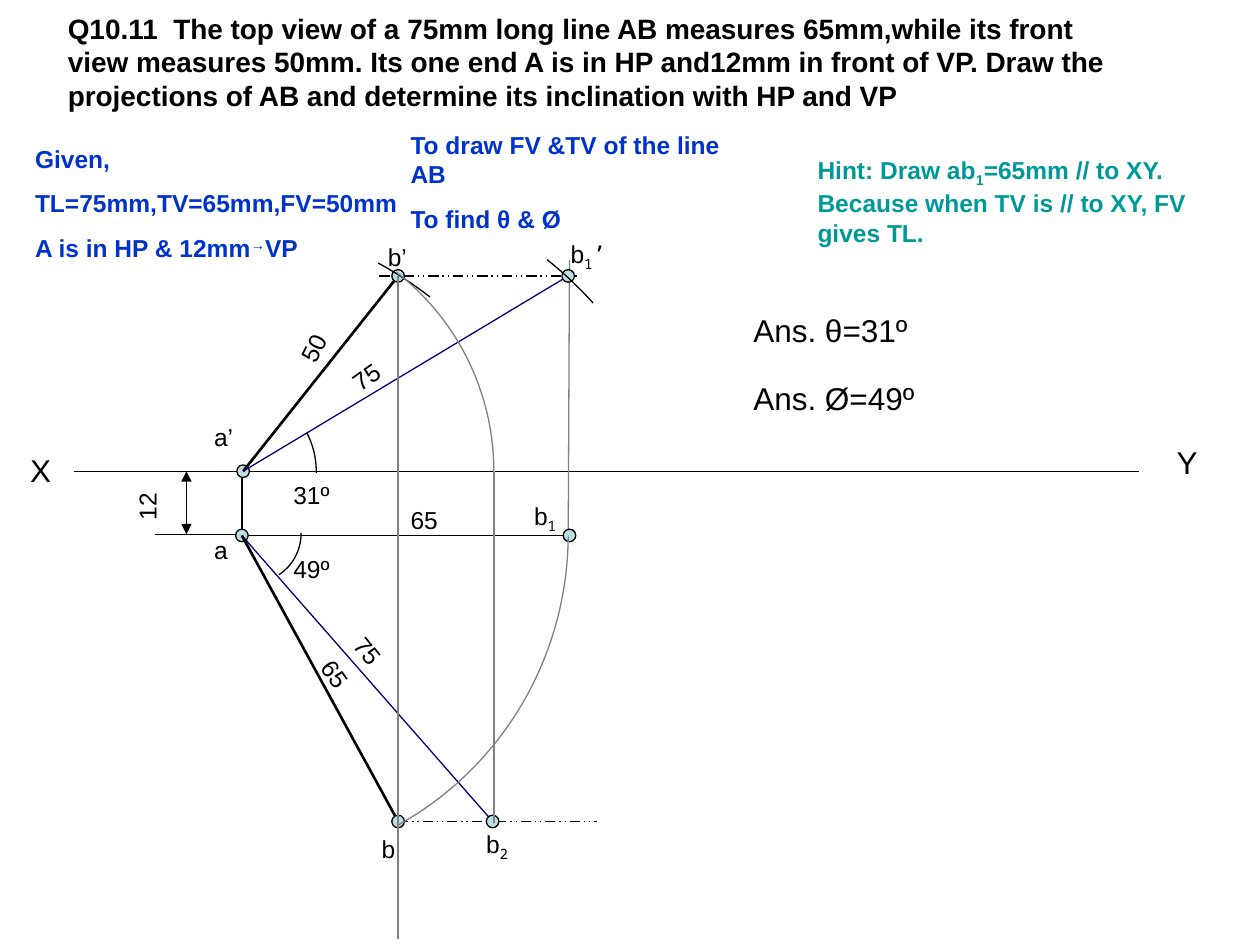
import pptx
import pptx.util
import pptx.dml.color
import pptx.enum.dml
import pptx.enum.shapes
import pptx.enum.text
import pptx.oxml.ns
from lxml import etree

Inches = pptx.util.Inches
Pt = pptx.util.Pt
MSO_SHAPE = pptx.enum.shapes.MSO_SHAPE

COLORS = {
    "ink": "000000",
    "true_length": "000080",
    "projector": "808080",
    "point": "BBE0E3",
    "given": "0033CC",
    "hint": "009999",
}
MONO = "Noto Sans Mono"

# Named points of the drawing: a and b below XY, primed ones above it
A_FRONT, A_TOP = (1.93, 3.74), (1.92, 4.25)
B_FRONT, B_TOP = (3.16, 2.19), (3.16, 6.52)
B1_FRONT, B1_TOP = (4.51, 2.19), (4.52, 4.25)
B2_TOP = (3.91, 6.52)
XY_LEVEL = 3.74


def rgb(name):
    return pptx.dml.color.RGBColor.from_string(COLORS[name])


def add_text(slide, paragraphs, left, top, width=0.42, height=0.34, size=14,
             color="ink", bold=False, rotation=0):
    """Each paragraph is a list of runs: a string or (string, baseline %, font)."""
    box = slide.shapes.add_textbox(Inches(left), Inches(top), Inches(width), Inches(height))
    box.rotation = rotation
    frame = box.text_frame
    frame.word_wrap = True
    frame.auto_size = pptx.enum.text.MSO_AUTO_SIZE.SHAPE_TO_FIT_TEXT
    for index, runs in enumerate(paragraphs):
        paragraph = frame.add_paragraph() if index else frame.paragraphs[0]
        if index:
            paragraph.space_before = Pt(8.8)
        for part in runs:
            words, baseline, font = (part, 0, "Arial") if isinstance(part, str) else part
            run = paragraph.add_run()
            run.text = words
            run.font.size = Pt(size)
            run.font.name = font
            run.font.bold = bold
            run.font.color.rgb = rgb(color)
            if baseline:
                run.font._element.set("baseline", str(baseline * 1000))


def add_line(slide, start, end, color="ink", weight=0.75, dashed=False, arrows=False):
    line = slide.shapes.add_connector(
        pptx.enum.shapes.MSO_CONNECTOR.STRAIGHT, *map(Inches, start + end))
    line.line.color.rgb = rgb(color)
    line.line.width = Pt(weight)
    if dashed:
        line.line.dash_style = pptx.enum.dml.MSO_LINE.DASH_DOT_DOT
    if arrows:
        outline = line.line._get_or_add_ln()
        for tip in ("a:headEnd", "a:tailEnd"):
            etree.SubElement(outline, pptx.oxml.ns.qn(tip), type="triangle")
    etree.SubElement(line._element.spPr, pptx.oxml.ns.qn("a:effectLst"))


def add_point(slide, center, diameter=0.1):
    left, top = (Inches(value - diameter / 2) for value in center)
    dot = slide.shapes.add_shape(MSO_SHAPE.OVAL, left, top, Inches(diameter), Inches(diameter))
    dot.shadow.inherit = False
    dot.fill.solid()
    dot.fill.fore_color.rgb = rgb("point")
    dot.line.color.rgb = rgb("ink")
    dot.line.width = Pt(0.75)


def add_arc(slide, center, radii, start, end, color="ink"):
    """Angles are in degrees, clockwise from the right."""
    (x, y), (rx, ry) = center, radii
    arc = slide.shapes.add_shape(
        MSO_SHAPE.ARC, Inches(x - rx), Inches(y - ry), Inches(2 * rx), Inches(2 * ry))
    arc.shadow.inherit = False
    arc.fill.background()
    arc.line.color.rgb = rgb(color)
    arc.line.width = Pt(0.75)
    # One adjustment unit is 100000 / 60000 degrees
    arc.adjustments[0] = start * 0.6
    arc.adjustments[1] = end * 0.6


def add_statement(slide):
    add_text(slide, [["Q10.11  The top view of a 75mm long line AB measures 65mm,while its "
                      "front view measures 50mm. Its one end A is in HP and12mm in front of "
                      "VP. Draw the projections of AB and determine its inclination with HP "
                      "and VP"]], 0.44, 0.04, 8.6, 0.9, size=16, bold=True)
    add_text(slide, [["Given,"], ["TL=75mm,TV=65mm,FV=50mm"],
                     ["A is in HP & 12mm", ("→", 30, "Arial"), "VP"]],
             0.18, 1.09, 3.17, 1.05, color="given", bold=True)
    add_text(slide, [["To draw FV &TV of the line AB"], ["To find θ & Ø"]],
             3.16, 0.98, 2.72, 0.92, color="given", bold=True)
    add_text(slide, [["Hint: Draw ab", ("1", -25, "Arial"),
                      "=65mm // to XY. Because when TV is // to XY, FV gives TL."]],
             6.39, 1.18, 3.17, 0.84, color="hint", bold=True)


def add_construction(slide):
    # Reference line, distance of A from VP, and the top view turned parallel to XY
    add_line(slide, (0.59, XY_LEVEL), (9.04, XY_LEVEL))
    add_line(slide, (1.92, XY_LEVEL), A_TOP)
    add_line(slide, (1.87, 4.24), (1.23, 4.24))
    add_line(slide, (1.48, XY_LEVEL), (1.48, 4.24), arrows=True)
    add_line(slide, A_TOP, B1_TOP)
    add_line(slide, (4.52, 2.06), (4.51, 4.24), color="projector")
    # Loci of B
    add_line(slide, (3.01, 2.19), (4.58, 2.19), dashed=True)
    add_line(slide, B_TOP, (4.74, 6.52), dashed=True)

    for point in (A_FRONT, A_TOP):
        add_point(slide, point)
    # True lengths and the two views
    for start, true_end, view_end in ((A_FRONT, B1_FRONT, B_FRONT), (A_TOP, B2_TOP, B_TOP)):
        add_line(slide, start, true_end, color="true_length")
        add_line(slide, start, view_end, weight=1.5)
    for point in (B_FRONT, B_TOP, B1_FRONT, B1_TOP, B2_TOP):
        add_point(slide, point)

    # Projectors
    add_line(slide, B_FRONT, (3.16, 7.45), color="projector")
    add_line(slide, (3.92, XY_LEVEL), (3.92, 6.53), color="projector")
    # Compass cuts, angle marks, and arcs turning each view
    add_arc(slide, (2.46, 4.48), (3.04, 3.08), 307.9, 317.3)
    add_arc(slide, (1.56, 4.8), (3.04, 3.08), 298, 307.2)
    add_arc(slide, (1.79, 3.74), (0.72, 0.69), 334.5, 1)
    add_arc(slide, (2.02, 4.23), (0.37, 0.39), 0, 59.4)
    add_arc(slide, (1.92, 4.24), (2.59, 2.63), 0.4, 61.8, color="projector")
    add_arc(slide, (1.92, XY_LEVEL), (2, 2), 307.9, 0, color="projector")


def add_labels(slide):
    # Point names
    for name, left, top in (("a’", 1.6, 3.3), ("a", 1.6, 4.2), ("b’", 2.98, 1.87), ("b", 2.93, 6.57)):
        add_text(slide, [[name]], left, top)
    for index, prime, left, top in (("1", "", 4.14, 3.93), ("1", "’", 4.43, 1.85), ("2", "", 3.76, 6.53)):
        runs = ["b", (index, -25, MONO)] + ([(prime, 0, MONO)] if prime else [])
        add_text(slide, [runs], left, top, 0.56, 0.37)
    # Lengths
    for length, left, top, rotation in (
            ("12", 0.96, 3.85, 270), ("75", 2.7, 2.82, 324.9), ("50", 2.28, 2.59, 296.5),
            ("65", 2.45, 5.18, 54.3), ("65", 3.16, 3.96, 0), ("75", 2.71, 5, 51.4)):
        add_text(slide, [[length]], left, top, rotation=rotation)
    # Angles
    for angle, top in (("31º", 3.76), ("49º", 4.35)):
        add_text(slide, [[angle]], 2.23, top, 0.67)
    # Ends of the reference line and the answers
    for words, left, top, width in (
            ("X", 0.14, 3.53, 0.59), ("Y", 9.24, 3.47, 0.53),
            ("Ans. θ=31º", 5.88, 2.42, 2.01), ("Ans. Ø=49º", 5.88, 2.96, 2.01)):
        add_text(slide, [[words]], left, top, width, 0.4, size=18)


def main():
    deck = pptx.Presentation()
    deck.slide_width, deck.slide_height = Inches(10), Inches(7.5)
    slide = deck.slides.add_slide(deck.slide_layouts[6])
    add_statement(slide)
    add_construction(slide)
    add_labels(slide)
    deck.save("out.pptx")


if __name__ == "__main__":
    main()
